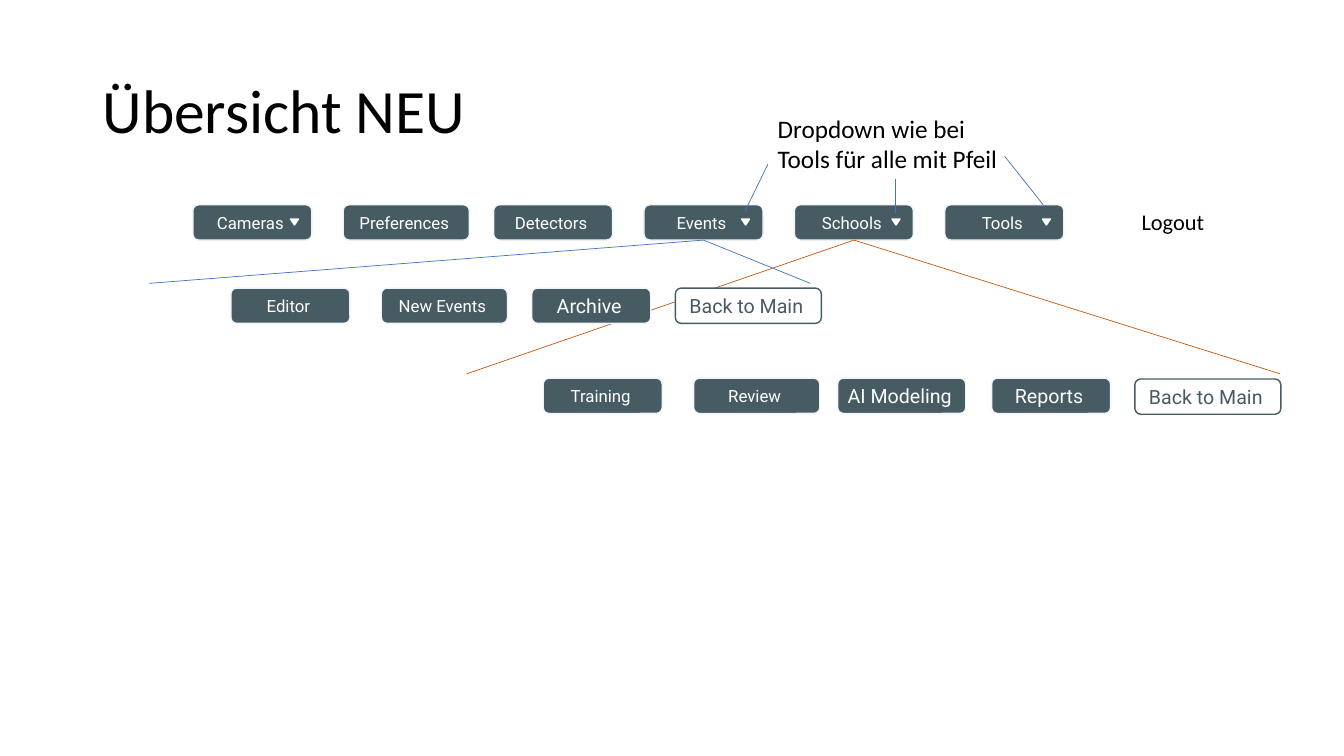
from dataclasses import dataclass

from lxml.etree import SubElement
from pptx import Presentation
from pptx.dml.color import RGBColor
from pptx.enum.shapes import MSO_CONNECTOR, MSO_SHAPE
from pptx.enum.text import MSO_ANCHOR, MSO_AUTO_SIZE, PP_ALIGN
from pptx.oxml.ns import qn
from pptx.shapes.autoshape import Shape
from pptx.shapes.connector import Connector
from pptx.slide import Slide
from pptx.text.text import TextFrame
from pptx.util import Cm, Pt

COLORS = {
    "slate": "475B63",
    "mist": "F0F4F7",
    "white": "FFFFFF",
    "black": "000000",
    "blue": "4472C4",
    "orange": "C55A11",
}
BUTTON_HEIGHT = 0.89
NARROW, WIDE = 3.0, 3.18
PITCH = 3.79
BOTTOM = 2  # connection site


@dataclass(frozen=True)
class Button:
    label: str
    left: float
    top: float
    width: float = NARROW
    size: int = 12
    arrow: bool = False
    outlined: bool = False


@dataclass(frozen=True)
class Line:
    start: tuple[float, float]
    end: tuple[float, float]
    color: str = "blue"


MAIN_LEFT, MAIN_TOP = 4.86, 5.16
EVENTS_LEFT, EVENTS_TOP = 5.82, 7.26
SCHOOLS_TOP = 9.53

MAIN_MENU = [
    Button(label, MAIN_LEFT + column * PITCH, MAIN_TOP, width, arrow=arrow)
    for column, (label, width, arrow) in enumerate([
        ("Cameras", NARROW, True),
        ("Preferences", WIDE, False),
        ("Detectors", NARROW, False),
        ("Events", NARROW, True),
        ("Schools", NARROW, True),
        ("Tools", NARROW, True),
    ])
]
SUBMENUS = [
    Button("Editor", EVENTS_LEFT, EVENTS_TOP),
    Button("New Events", EVENTS_LEFT + PITCH, EVENTS_TOP, WIDE),
    Button("Archive", EVENTS_LEFT + 2 * PITCH, EVENTS_TOP, size=14),
    Button("Back to Main", 17.02, EVENTS_TOP, 3.68, 14, outlined=True),
    Button("Training", 13.69, SCHOOLS_TOP),
    Button("Review", 17.48, SCHOOLS_TOP, WIDE),
    Button("AI Modeling", 21.11, SCHOOLS_TOP, 3.23, 14),
    Button("Reports", 24.99, SCHOOLS_TOP, size=14),
    Button("Back to Main", 28.6, SCHOOLS_TOP + 0.02, 3.68, 14, outlined=True),
]
# Each opened menu: colour and the two far ends of its branches
BRANCHES = {
    "Schools": ("orange", [(11.76, 9.42), (32.26, 9.42)]),
    "Events": ("blue", [(3.76, 7.14), (20.42, 7.14)]),
}
HINT_LINES = [
    Line((18.77, 5.33), (19.35, 4.14)),
    Line((25.32, 3.94), (26.29, 5.16)),
    Line((22.56, 5.36), (22.56, 4.5)),
]


def rgb(name: str) -> RGBColor:
    return RGBColor.from_string(COLORS[name])


def write(frame: TextFrame, text: str, font: str, size: int, color: str,
          align: PP_ALIGN = PP_ALIGN.LEFT) -> None:
    frame.text = text
    paragraph = frame.paragraphs[0]
    paragraph.alignment = align
    paragraph.font.name = font
    paragraph.font.size = Pt(size)
    paragraph.font.color.rgb = rgb(color)


def paint(shape: Shape, fill: str, line: str) -> None:
    shape.shadow.inherit = False
    shape.fill.solid()
    shape.fill.fore_color.rgb = rgb(fill)
    shape.line.color.rgb = rgb(line)
    shape.line.width = Pt(1)


def add_button(slide: Slide, button: Button) -> Shape:
    box = slide.shapes.add_shape(
        MSO_SHAPE.ROUNDED_RECTANGLE, Cm(button.left), Cm(button.top),
        Cm(button.width), Cm(BUTTON_HEIGHT))
    fill, line, ink = (("white", "slate", "slate") if button.outlined
                       else ("slate", "mist", "white"))
    paint(box, fill, line)
    frame = box.text_frame
    frame.vertical_anchor = MSO_ANCHOR.MIDDLE
    frame.margin_left, frame.margin_right = Cm(0.1), Cm(0.2)
    write(frame, button.label, "Roboto", button.size, ink, PP_ALIGN.CENTER)
    if button.arrow:
        arrow = slide.shapes.add_shape(
            MSO_SHAPE.ISOSCELES_TRIANGLE, Cm(button.left + 2.46),
            Cm(button.top + 0.36), Cm(0.2), Cm(0.15))
        arrow.rotation = 180
        paint(arrow, "white", "white")
    return box


def add_line(slide: Slide, line: Line) -> Connector:
    connector = slide.shapes.add_connector(
        MSO_CONNECTOR.STRAIGHT, *map(Cm, line.start + line.end))
    connector.line.color.rgb = rgb(line.color)
    connector.line.width = Pt(0.5)
    SubElement(connector._element.spPr, qn("a:effectLst"))
    return connector


def add_label(slide: Slide, text: str, size: int, left: float, top: float,
              width: float, height: float, wrap: bool) -> None:
    box = slide.shapes.add_textbox(Cm(left), Cm(top), Cm(width), Cm(height))
    box.text_frame.word_wrap = wrap
    box.text_frame.auto_size = MSO_AUTO_SIZE.SHAPE_TO_FIT_TEXT
    write(box.text_frame, text, "Calibri", size, "black")


def main() -> None:
    prs = Presentation()
    prs.slide_width, prs.slide_height = Cm(33.87), Cm(19.05)
    slide = prs.slides.add_slide(prs.slide_layouts[5])

    # Title
    title = slide.shapes.title
    title.left, title.top = Cm(2.33), Cm(1.01)
    title.width, title.height = Cm(29.21), Cm(3.68)
    title.text_frame.vertical_anchor = MSO_ANCHOR.MIDDLE
    write(title.text_frame, "Übersicht NEU", "Calibri", 44, "black")
    title.text_frame.paragraphs[0].line_spacing = 0.9

    # Main menu
    menu = {button.label: add_button(slide, button) for button in MAIN_MENU}
    add_label(slide, "Logout", 16, 28.52, 5.13, 2.11, 0.94, wrap=False)

    # Branches from the opened menus, behind the submenu buttons
    for label, (color, ends) in BRANCHES.items():
        for end in ends:
            branch = add_line(slide, Line((0, 0), end, color))
            branch.begin_connect(menu[label], BOTTOM)

    # Submenus
    for button in SUBMENUS:
        add_button(slide, button)

    # Hint pointing at the dropdown arrows
    add_label(slide, "Dropdown wie bei Tools für alle mit Pfeil", 18,
              19.35, 2.72, 6.38, 1.8, wrap=True)
    for line in HINT_LINES:
        add_line(slide, line)

    prs.save("out.pptx")


if __name__ == "__main__":
    main()
